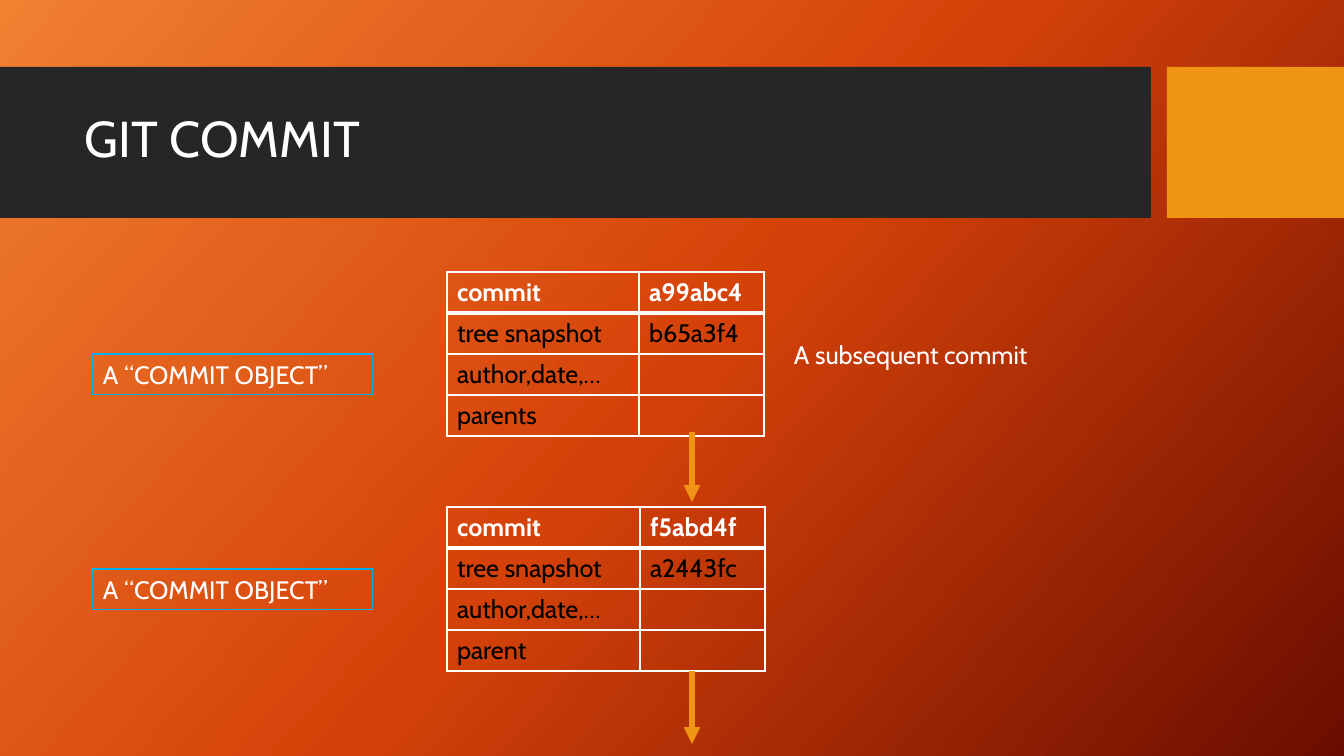
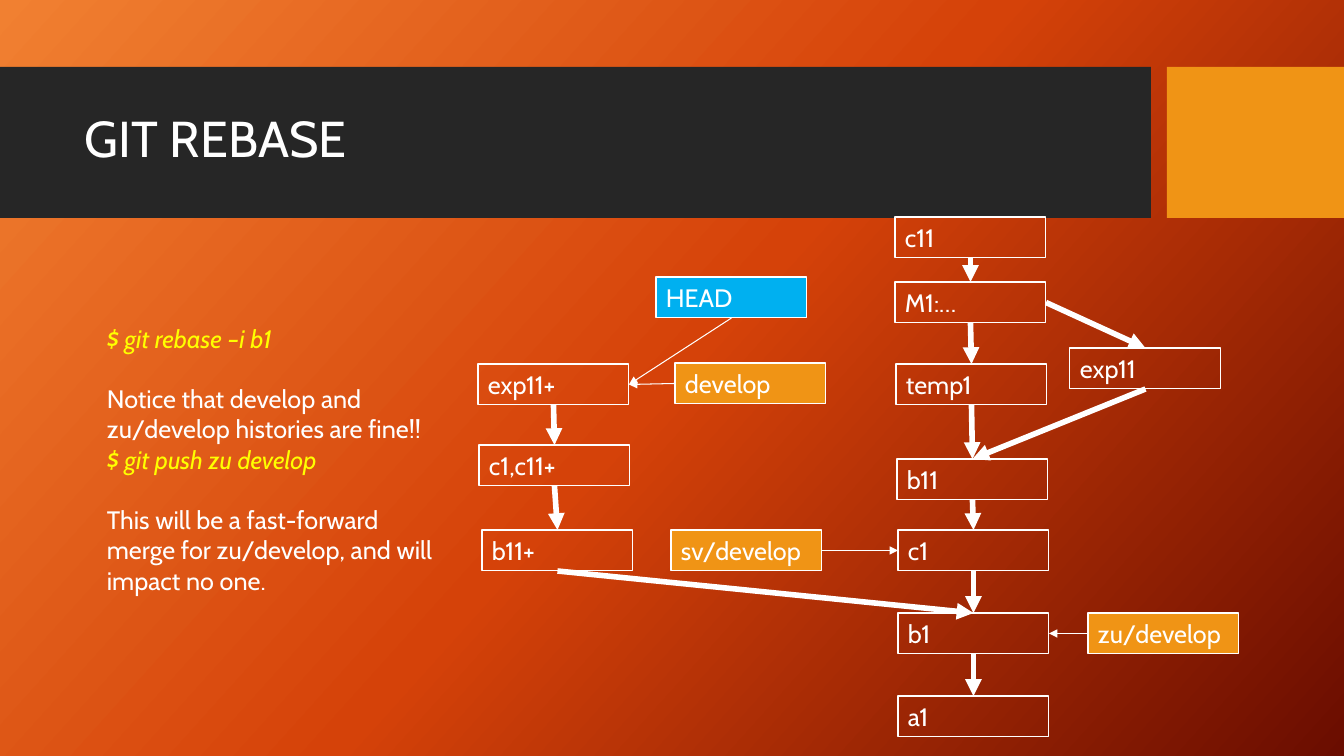
from copy import deepcopy

from pptx import Presentation
from pptx.dml.color import RGBColor
from pptx.enum.shapes import MSO_CONNECTOR, MSO_SHAPE
from pptx.enum.text import MSO_ANCHOR
from pptx.oxml.ns import qn
from pptx.util import Emu, Pt
from lxml import etree

STRAIGHT = MSO_CONNECTOR.STRAIGHT
RECTANGLE = MSO_SHAPE.RECTANGLE
TOP_ANCHOR = MSO_ANCHOR.TOP
MIDDLE_ANCHOR = MSO_ANCHOR.MIDDLE
TOP, LEFT, BOTTOM, RIGHT = range(4)

WHITE = RGBColor(0xFF, 0xFF, 0xFF)
BLACK = RGBColor(0x00, 0x00, 0x00)
CHARCOAL = RGBColor(0x26, 0x26, 0x26)
AMBER = RGBColor(0xF0, 0x94, 0x15)
SKY = RGBColor(0x00, 0xB0, 0xF0)
YELLOW = RGBColor(0xFF, 0xFF, 0x00)
BACKGROUND = (
    (0, RGBColor(0xF1, 0x80, 0x31)),
    (0.5, RGBColor(0xD5, 0x42, 0x09)),
    (1, RGBColor(0x6A, 0x0D, 0x00)),
)

FONT = "Cabin"
BODY_SIZE = 18
TITLE_SIZE = 36
THIN, THICK = 0.75, 4
ROW_HEIGHT = 41
NODE_WIDTH = 151
BLANK_LAYOUT = 6

COMMITS = (
    (272, 192, (("commit", "a99abc4"), ("tree snapshot", "b65a3f4"),
                ("author,date,…", ""), ("parents", ""))),
    (507, 193, (("commit", "f5abd4f"), ("tree snapshot", "a2443fc"),
                ("author,date,…", ""), ("parent", ""))),
)

NODES = (
    ("c11", 895, 217, None),
    ("M1:…", 895, 282, None),
    ("temp1", 896, 364, None),
    ("exp11", 1070, 348, None),
    ("b11", 897, 459, None),
    ("c1", 898, 530, None),
    ("b1", 898, 613, None),
    ("a1", 898, 696, None),
    ("exp11+", 478, 364, None),
    ("c1,c11+", 479, 445, None),
    ("b11+", 482, 530, None),
    ("HEAD", 656, 277, SKY),
    ("develop", 675, 363, AMBER),
    ("sv/develop", 671, 530, AMBER),
    ("zu/develop", 1088, 613, AMBER),
)

HISTORIES = (
    ("c11", "M1:…", "temp1", "b11", "c1", "b1", "a1"),
    ("exp11+", "c1,c11+", "b11+", "b1"),
    ("exp11", "b11"),
)

REFERENCES = (
    ("HEAD", BOTTOM, "exp11+", RIGHT),
    ("develop", LEFT, "exp11+", RIGHT),
    ("sv/develop", RIGHT, "c1", LEFT),
    ("zu/develop", LEFT, "b1", RIGHT),
)

NOTES = (
    ("$ git rebase –i b1", True, 0),
    ("Notice that develop and zu/develop histories are fine!!", False, 21.6),
    ("$ git push zu develop", True, 0),
    ("This will be a fast-forward merge for zu/develop, and will impact no one.",
     False, 21.6),
)


def px(pixels):
    return Emu(round(pixels * 914400 / 100.8))


def add_run(paragraph, text, color=WHITE, size=BODY_SIZE, bold=False, italic=False):
    run = paragraph.add_run()
    run.text = text
    run.font.name = FONT
    run.font.size = Pt(size)
    run.font.bold = bold
    run.font.italic = italic
    run.font.color.rgb = color


def add_text_frame(slide, left, top, width, height, anchor=TOP_ANCHOR):
    shape = slide.shapes.add_textbox(px(left), px(top), px(width), px(height))
    shape.text_frame.word_wrap = True
    shape.text_frame.vertical_anchor = anchor
    return shape


def add_label(slide, text, left, top, width, fill=None, outline=None):
    shape = add_text_frame(slide, left, top, width, ROW_HEIGHT)
    if fill is not None:
        shape.fill.solid()
        shape.fill.fore_color.rgb = fill
    if outline is not None:
        shape.line.color.rgb = outline
        shape.line.width = Pt(THIN)
    add_run(shape.text_frame.paragraphs[0], text)
    return shape


def add_band(slide, left, width, color):
    shape = slide.shapes.add_shape(RECTANGLE, px(left), px(67), px(width), px(151))
    shape.shadow.inherit = False
    shape.fill.solid()
    shape.fill.fore_color.rgb = color
    shape.line.fill.background()


def add_arrow(slide, start, end, color, width):
    connector = slide.shapes.add_connector(
        STRAIGHT, px(start[0]), px(start[1]), px(end[0]), px(end[1]))
    connector.line.color.rgb = color
    connector.line.width = Pt(width)
    properties = connector.element.spPr
    etree.SubElement(properties.find(qn("a:ln")), qn("a:tailEnd"), type="triangle")
    etree.SubElement(properties, qn("a:effectLst"))
    return connector


def link(slide, source, source_side, target, target_side, width):
    connector = add_arrow(slide, (0, 0), (0, 0), WHITE, width)
    connector.begin_connect(source, source_side)
    connector.end_connect(target, target_side)


def set_border(cell, side, width):
    properties = cell._tc.get_or_add_tcPr()
    line = etree.SubElement(properties, qn(f"a:ln{side}"), w=str(Pt(width)))
    fill = etree.SubElement(line, qn("a:solidFill"))
    etree.SubElement(fill, qn("a:srgbClr"), val=str(WHITE))


def add_commit_table(slide, top, key_width, rows):
    widths = (key_width, 125)
    frame = slide.shapes.add_table(
        len(rows), len(widths), px(447), px(top), px(sum(widths)),
        px(ROW_HEIGHT * len(rows)))
    table = frame.table
    table.first_row = False
    table.horz_banding = False
    for column, width in zip(table.columns, widths):
        column.width = px(width)
    for row_index, values in enumerate(rows):
        header = row_index == 0
        table.rows[row_index].height = px(ROW_HEIGHT)
        for column_index, value in enumerate(values):
            cell = table.cell(row_index, column_index)
            set_border(cell, "L", 1)
            set_border(cell, "R", 1)
            set_border(cell, "T", 3 if row_index == 1 else 1)
            set_border(cell, "B", 3 if header else 1)
            cell.fill.background()
            if value:
                add_run(cell.text_frame.paragraphs[0], value,
                        WHITE if header else BLACK, bold=header)


def set_background(master):
    fill = master.background.fill
    fill.gradient()
    fill.gradient_angle = 360 - 42
    stop_list = master.element.find(".//" + qn("a:gsLst"))
    stop_list.insert(1, deepcopy(stop_list[0]))
    for stop, (position, color) in zip(fill.gradient_stops, BACKGROUND):
        stop.position = position
        stop.color.rgb = color


def add_titled_slide(presentation, title):
    slide = presentation.slides.add_slide(presentation.slide_layouts[BLANK_LAYOUT])
    add_band(slide, 0, 1151, CHARCOAL)
    add_band(slide, 1167, 177, AMBER)
    shape = add_text_frame(slide, 75, 82, 1059, 119, MIDDLE_ANCHOR)
    paragraph = shape.text_frame.paragraphs[0]
    paragraph.line_spacing = 0.9
    add_run(paragraph, title, size=TITLE_SIZE)
    return slide


def build_commit_slide(presentation):
    slide = add_titled_slide(presentation, "GIT COMMIT")
    for top, key_width, rows in COMMITS:
        add_commit_table(slide, top, key_width, rows)
    for top, bottom in ((432, 502), (671, 744)):
        add_arrow(slide, (692, top), (692, bottom), AMBER, THICK)
    for top in (354, 569):
        add_label(slide, "A “COMMIT OBJECT”", 93, top, 280, outline=SKY)
    add_label(slide, "A subsequent commit", 784, 334, 440)


def add_notes(slide):
    frame = add_text_frame(slide, 97, 318, 358, 316).text_frame
    for index, (text, command, gap) in enumerate(NOTES):
        paragraph = frame.add_paragraph() if index else frame.paragraphs[0]
        paragraph.space_before = Pt(gap)
        add_run(paragraph, text, YELLOW if command else WHITE, italic=command)


def build_rebase_slide(presentation):
    slide = add_titled_slide(presentation, "GIT REBASE")
    add_notes(slide)
    nodes = {
        name: add_label(slide, name, left, top, NODE_WIDTH, fill, WHITE)
        for name, left, top, fill in NODES
    }
    for history in HISTORIES:
        for child, parent in zip(history, history[1:]):
            link(slide, nodes[child], BOTTOM, nodes[parent], TOP, THICK)
    link(slide, nodes["M1:…"], RIGHT, nodes["exp11"], TOP, THICK)
    for source, source_side, target, target_side in REFERENCES:
        link(slide, nodes[source], source_side, nodes[target], target_side, THIN)


def main():
    presentation = Presentation()
    presentation.slide_width = px(1344)
    presentation.slide_height = px(756)
    set_background(presentation.slide_master)
    build_commit_slide(presentation)
    build_rebase_slide(presentation)
    presentation.save("out.pptx")


main()
